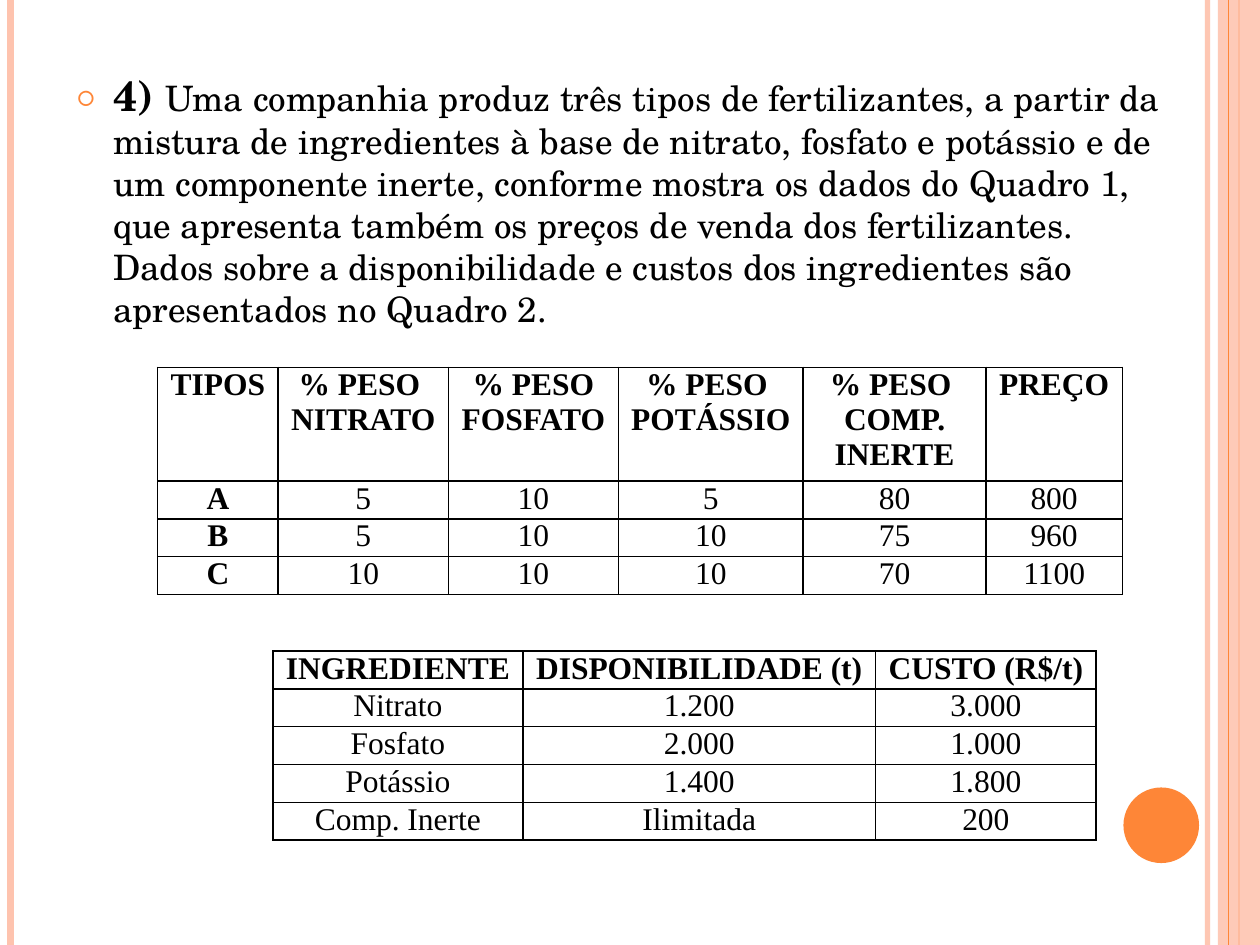
from lxml import etree
from pptx import Presentation
from pptx.dml.color import RGBColor
from pptx.enum.shapes import MSO_CONNECTOR, MSO_SHAPE
from pptx.enum.text import MSO_ANCHOR, PP_ALIGN
from pptx.oxml.ns import qn
from pptx.util import Inches, Pt

STRAIGHT = MSO_CONNECTOR.STRAIGHT
RECTANGLE, OVAL = MSO_SHAPE.RECTANGLE, MSO_SHAPE.OVAL
TOP, CENTER, LEFT = MSO_ANCHOR.TOP, PP_ALIGN.CENTER, PP_ALIGN.LEFT

COLORS = {"peach": "FEC3AE", "orange": "FE8637", "ink": "000000"}
BODY_FONT, TABLE_FONT = "TeX Gyre Schola", "Times New Roman"
COLUMNS, ROWS = 120, 90
WIDTH, HEIGHT = Inches(10), Inches(7.5)

QUESTION = (
    "Uma companhia produz três tipos de fertilizantes, a partir da mistura de "
    "ingredientes à base de nitrato, fosfato e potássio e de um componente inerte, "
    "conforme mostra os dados do Quadro 1, que apresenta também os preços de venda "
    "dos fertilizantes. Dados sobre a disponibilidade e custos dos ingredientes são "
    "apresentados no Quadro 2."
)
FERTILIZERS = [
    ["TIPOS", "% PESO \nNITRATO", "% PESO\nFOSFATO", "% PESO \nPOTÁSSIO",
     "% PESO \nCOMP. INERTE", "PREÇO"],
    ["A", "5", "10", "5", "80", "800"],
    ["B", "5", "10", "10", "75", "960"],
    ["C", "10", "10", "10", "70", "1100"],
]
INGREDIENTS = [
    ["INGREDIENTE", "DISPONIBILIDADE (t)", "CUSTO (R$/t)"],
    ["Nitrato", "1.200", "3.000"],
    ["Fosfato", "2.000", "1.000"],
    ["Potássio", "1.400", "1.800"],
    ["Comp. Inerte", "Ilimitada", "200"],
]


def across(columns):
    return round(WIDTH * columns / COLUMNS)


def down(rows):
    return round(HEIGHT * rows / ROWS)


def rgb(color):
    return RGBColor.from_string(COLORS[color])


def add_child(parent, tag, **attributes):
    return etree.SubElement(parent, qn(tag), attributes)


def set_opacity(properties, percent):
    tint = next(properties.iter(qn("a:srgbClr")))
    add_child(tint, "a:alpha", val=str(percent * 1000))


def write(paragraph, text, size=18, font=TABLE_FONT, bold=False, align=LEFT):
    paragraph.alignment = align
    run = paragraph.add_run()
    run.text = text
    run.font.size = Pt(size)
    run.font.name = font
    run.font.bold = bold
    run.font.color.rgb = rgb("ink")


def add_stripe(slide, column, color, weight, opacity=100):
    stripe = slide.shapes.add_connector(
        STRAIGHT, across(column), 0, across(column), HEIGHT)
    stripe.line.color.rgb = rgb(color)
    stripe.line.width = Pt(weight)
    properties = stripe._element.spPr
    if opacity < 100:
        set_opacity(properties, opacity)
    add_child(properties, "a:effectLst")


def add_block(slide, kind, column, row, width, height, color, opacity=100):
    block = slide.shapes.add_shape(
        kind, across(column), down(row), across(width), down(height))
    block.shadow.inherit = False
    block.fill.solid()
    block.fill.fore_color.rgb = rgb(color)
    block.line.fill.background()
    if opacity < 100:
        set_opacity(block._element.spPr, opacity)


def add_bullet(paragraph, indent):
    properties = paragraph._p.get_or_add_pPr()
    properties.set("marL", str(indent))
    properties.set("indent", str(-indent))
    tint = add_child(properties, "a:buClr")
    add_child(tint, "a:srgbClr", val=COLORS["orange"])
    add_child(properties, "a:buSzPct", val="70000")
    add_child(properties, "a:buFont", typeface=BODY_FONT)
    add_child(properties, "a:buChar", char="○")


def add_question(slide):
    frame = slide.shapes.add_textbox(
        across(6), down(6), across(108), down(79)).text_frame
    frame.word_wrap = True
    paragraph = frame.paragraphs[0]
    paragraph.space_before = Pt(6)
    write(paragraph, "4) ", size=24, font=BODY_FONT, bold=True)
    write(paragraph, QUESTION, size=20, font=BODY_FONT)
    add_bullet(paragraph, across(3.6))


def add_borders(cell):
    properties = cell._tc.get_or_add_tcPr()
    for side in ("a:lnL", "a:lnR", "a:lnT", "a:lnB"):
        border = add_child(properties, side, w=str(Pt(1)))
        add_child(add_child(border, "a:solidFill"), "a:srgbClr", val=COLORS["ink"])


def fill_cell(cell, text, bold):
    cell.margin_left = cell.margin_right = Inches(0.07)
    cell.margin_top = cell.margin_bottom = 0
    cell.vertical_anchor = TOP
    add_borders(cell)
    cell.fill.background()
    frame = cell.text_frame
    for index, line in enumerate(text.split("\n")):
        paragraph = frame.add_paragraph() if index else frame.paragraphs[0]
        write(paragraph, line, bold=bold, align=CENTER)


def add_board(slide, column, row, widths, records, header_lines=1, bold_labels=False):
    line_height = 3.3
    heights = [line_height * header_lines] + [line_height] * (len(records) - 1)
    board = slide.shapes.add_table(
        len(records), len(widths), across(column), down(row),
        across(sum(widths)), down(sum(heights))).table
    board.first_row = board.horz_banding = False
    for board_column, width in zip(board.columns, widths):
        board_column.width = across(width)
    for board_row, height in zip(board.rows, heights):
        board_row.height = down(height)
    for r, record in enumerate(records):
        for c, text in enumerate(record):
            fill_cell(board.cell(r, c), text, r == 0 or (bold_labels and c == 0))


def main():
    deck = Presentation()
    deck.slide_width, deck.slide_height = WIDTH, HEIGHT
    slide = deck.slides.add_slide(deck.slide_layouts[6])
    add_stripe(slide, 115, "peach", 3, opacity=93)
    add_stripe(slide, 1, "peach", 4.5)
    add_stripe(slide, 118, "orange", 1.5)
    add_block(slide, RECTANGLE, 116, 0, 4, ROWS, "peach", opacity=87)
    add_stripe(slide, 117, "orange", 0.75)
    add_block(slide, OVAL, 107, 75, 7.2, 7.2, "orange")
    add_question(slide)
    add_board(slide, 15, 35, [11.5, 16.2, 16.2, 17.6, 17.4, 13], FERTILIZERS,
              header_lines=3, bold_labels=True)
    add_board(slide, 26, 62, [23.8, 33.6, 21], INGREDIENTS)
    deck.save("out.pptx")


main()
